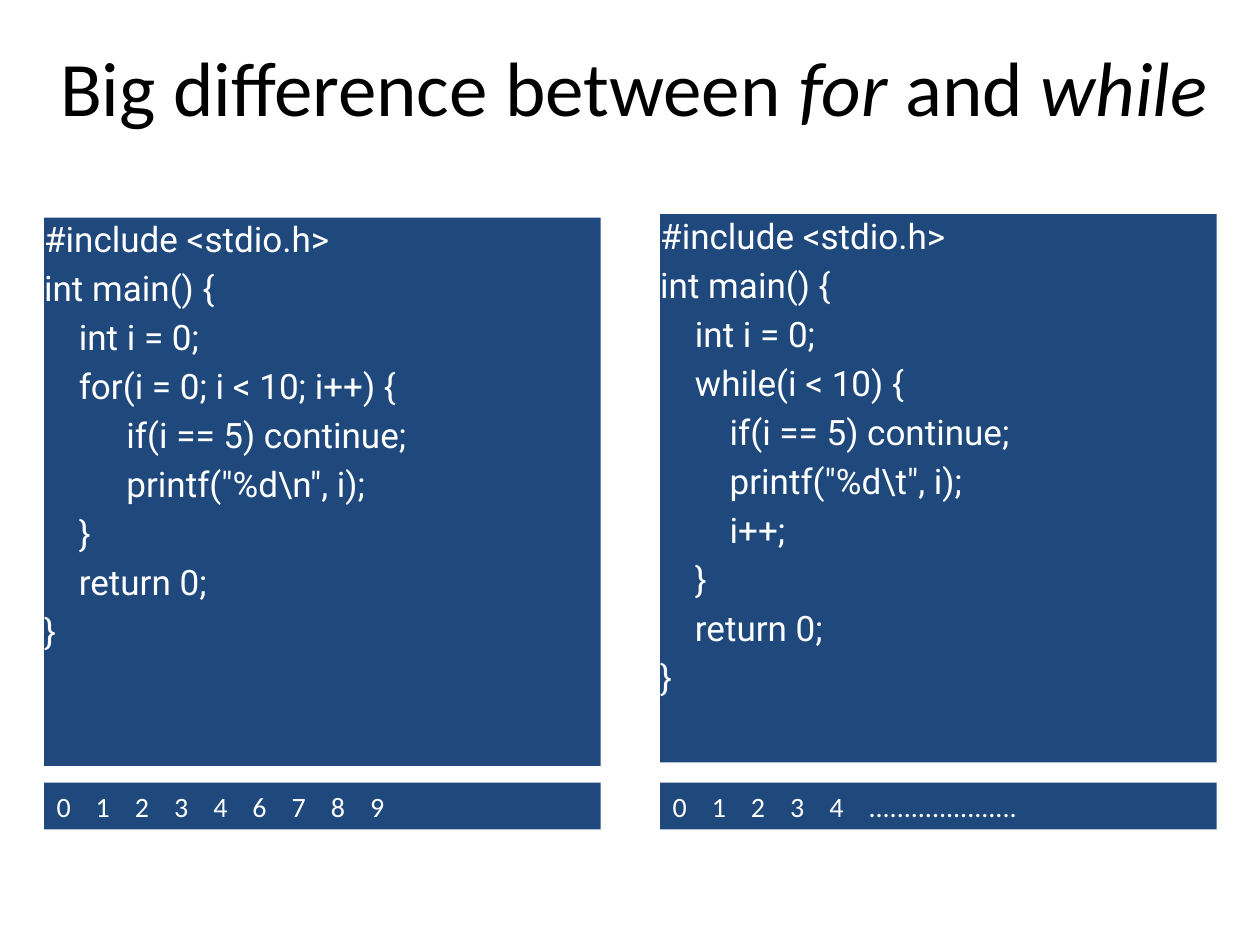
"""Build a slide that compares a for loop with a while loop in C."""
import dataclasses
import typing

import lxml.etree
import pptx
import pptx.dml.color
import pptx.enum.shapes
import pptx.enum.text
import pptx.oxml.ns
import pptx.util

Cm = pptx.util.Cm
Pt = pptx.util.Pt
COLORS = {"ink": "000000", "panel": "1F497D", "code": "FFFFFF"}
FONTS = {
    "title": {"name": "Calibri", "size": Pt(44)},
    "code": {"name": "Roboto", "size": Pt(20)},
    "result": {"name": "Calibri", "size": Pt(16)},
}
FLUSH = {"margin_left": 0, "margin_top": 0, "margin_right": 0, "margin_bottom": 0}
PADDED = {"margin_left": Cm(0.25), "margin_top": Cm(0.13),
          "margin_right": Cm(0.25), "margin_bottom": Cm(0.13)}
WIDTH = 11.22
TAB = 0.79


@dataclasses.dataclass
class Line:
    text: str
    indent: float = 0


@dataclasses.dataclass
class Panel:
    left: float
    top: float
    lines: list[Line]
    result: list[str]


def apply(target: typing.Any, values: dict[str, typing.Any]) -> None:
    for name, value in values.items():
        setattr(target, name, value)


def style(font: typing.Any, kind: str, color: str) -> None:
    apply(font, FONTS[kind])
    font.color.rgb = pptx.dml.color.RGBColor.from_string(COLORS[color])


def listing(head: str, body: list[str], depth: float) -> list[Line]:
    step = 0.7
    return [
        Line("#include <stdio.h>"),
        Line("int main() {"),
        Line("int i = 0;", step),
        Line(head, step),
        *[Line(text, depth) for text in body],
        Line("}", step),
        Line("return 0;", step),
        Line("}"),
    ]


def draw_box(slide: typing.Any, left: float, top: float, height: float,
             margins: dict[str, int]) -> typing.Any:
    box = slide.shapes.add_shape(pptx.enum.shapes.MSO_SHAPE.RECTANGLE,
                                 Cm(left), Cm(top), Cm(WIDTH), Cm(height))
    box.shadow.inherit = False
    box.fill.solid()
    box.fill.fore_color.rgb = pptx.dml.color.RGBColor.from_string(COLORS["panel"])
    box.line.fill.background()
    frame = box.text_frame
    apply(frame, {"word_wrap": True, **margins,
                  "vertical_anchor": pptx.enum.text.MSO_ANCHOR.TOP})
    return frame


def write(frame: typing.Any, lines: list[Line], kind: str) -> None:
    for index, line in enumerate(lines):
        para = frame.add_paragraph() if index else frame.paragraphs[0]
        apply(para, {"alignment": pptx.enum.text.PP_ALIGN.LEFT,
                     "space_before": Pt(4 if index else 0)})
        para._p.get_or_add_pPr().set("marL", str(Cm(line.indent)))
        run = para.add_run()
        run.text = line.text
        style(run.font, kind, "code")


def set_tabs(para: typing.Any, count: int) -> None:
    qn = pptx.oxml.ns.qn
    stops = lxml.etree.SubElement(para._p.get_or_add_pPr(), qn("a:tabLst"))
    for index in range(1, count):
        lxml.etree.SubElement(stops, qn("a:tab"), pos=str(Cm(TAB * index)), algn="l")


def draw_panel(slide: typing.Any, panel: Panel) -> None:
    frame = draw_box(slide, panel.left, panel.top, 11.05, FLUSH)
    write(frame, panel.lines, "code")
    frame = draw_box(slide, panel.left, 15.78, 0.94, PADDED)
    write(frame, [Line("\t".join(panel.result))], "result")
    set_tabs(frame.paragraphs[0], len(panel.result))


def draw_title(slide: typing.Any) -> None:
    title = slide.shapes.title
    apply(title, {"left": Cm(0.71), "top": Cm(0.13),
                  "width": Cm(24.13), "height": Cm(3.18)})
    frame = title.text_frame
    apply(frame, {"word_wrap": True, **FLUSH,
                  "vertical_anchor": pptx.enum.text.MSO_ANCHOR.MIDDLE})
    para = frame.paragraphs[0]
    para.alignment = pptx.enum.text.PP_ALIGN.CENTER
    for index, text in enumerate(["Big difference between ", "for ", "and ", "while"]):
        run = para.add_run()
        run.text = text
        style(run.font, "title", "ink")
        run.font.italic = index % 2 == 1


def main() -> None:
    deck = pptx.Presentation()
    apply(deck, {"slide_width": Cm(25.4), "slide_height": Cm(19.05)})
    slide = deck.slides.add_slide(deck.slide_layouts[5])
    draw_title(slide)
    skip = "if(i == 5) continue;"
    panels = [
        Panel(13.31, 4.32,
              listing("while(i < 10) {", [skip, r'printf("%d\t", i);', "i++;"], 1.4),
              [*"01234", "....................."]),
        Panel(0.89, 4.39,
              listing("for(i = 0; i < 10; i++) {", [skip, r'printf("%d\n", i);'], 1.66),
              [*"012346789"]),
    ]
    for panel in panels:
        draw_panel(slide, panel)
    deck.save("out.pptx")


if __name__ == "__main__":
    main()
